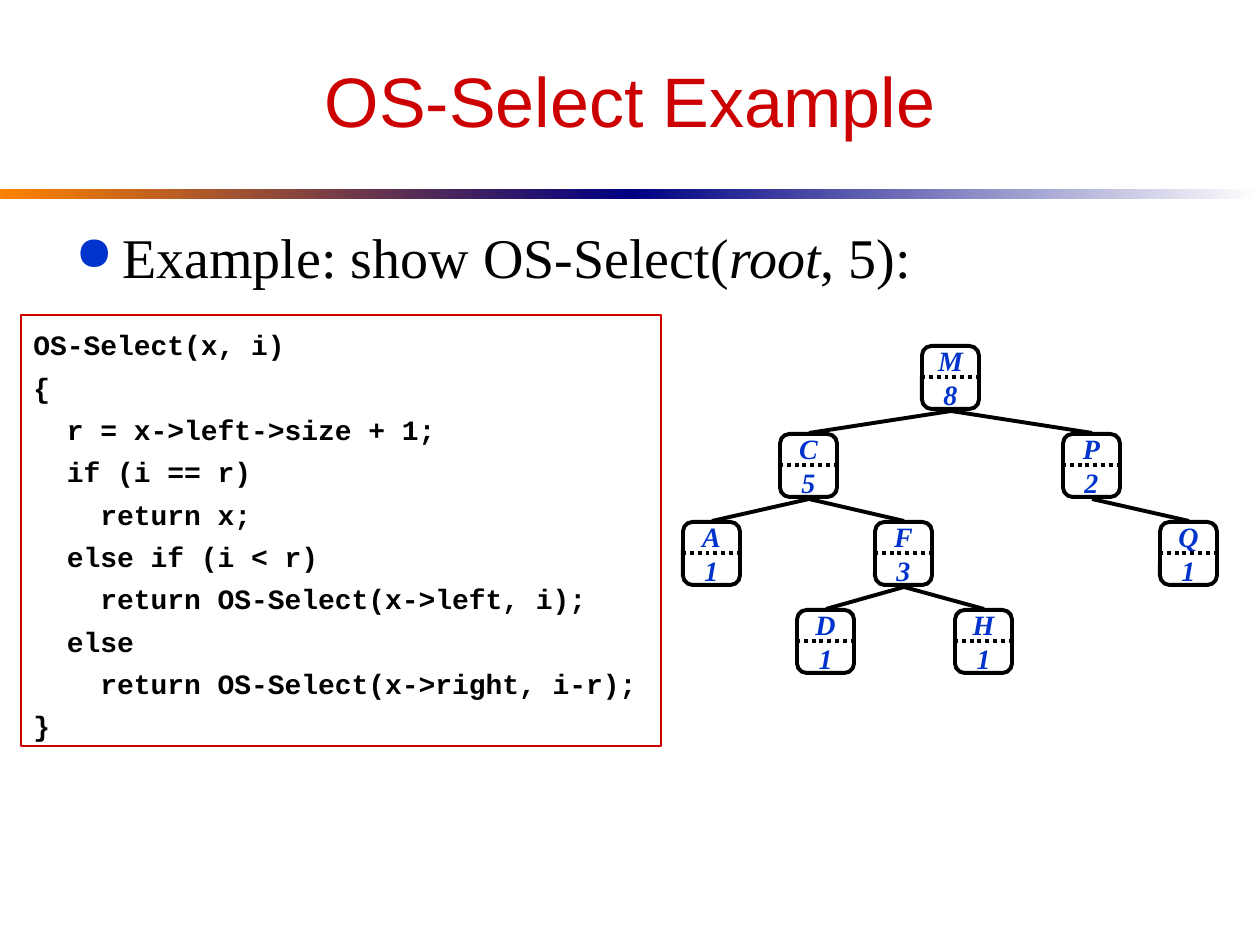
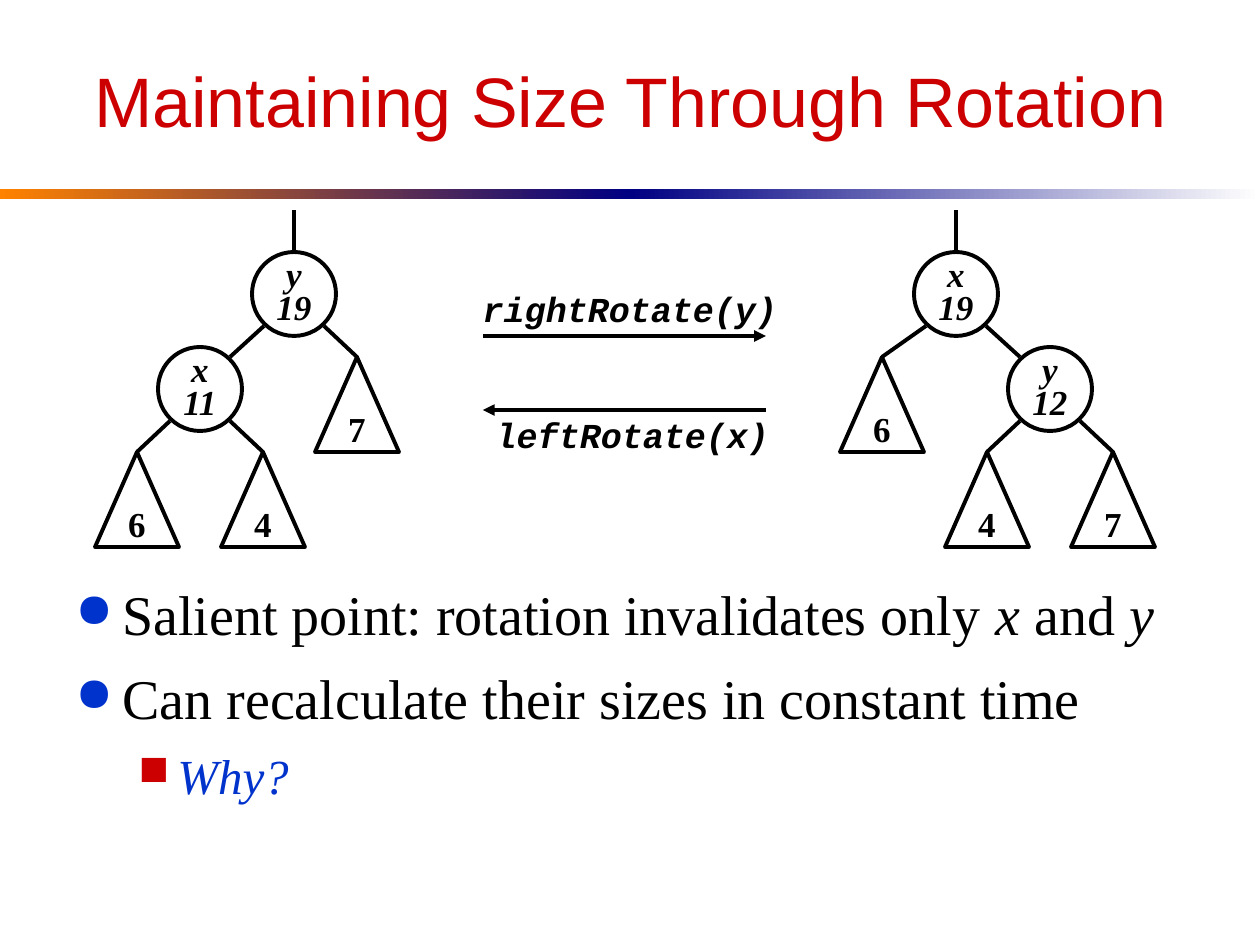
from dataclasses import dataclass
from typing import NamedTuple

from lxml import etree
from pptx import Presentation
from pptx import util as u
from pptx.dml.color import RGBColor
from pptx.enum import dml, shapes, text
from pptx.oxml import ns


class Style(NamedTuple):
    font: str
    size: int
    color: str
    bold: bool = False
    italic: bool = False


@dataclass(frozen=True)
class Theme:
    black: str = "000000"
    white: str = "FFFFFF"
    red: str = "CC0000"
    blue: str = "0033CC"
    navy: str = "000082"
    orange: str = "FF8200"
    stroke: float = 2.25
    thin: float = 0.75
    title: Style = Style("Arial", 40, red)
    point: Style = Style("Times New Roman", 32, black)
    subpoint: Style = Style("Times New Roman", 28, blue, italic=True)
    code: Style = Style("Courier New", 16, black, bold=True)
    call: Style = Style("Courier New", 20, black, bold=True, italic=True)
    key: Style = Style("Times New Roman", 16, blue, bold=True, italic=True)
    node: Style = Style("Times New Roman", 20, black, bold=True, italic=True)
    subtree: Style = Style("Times New Roman", 20, black, bold=True)


T = Theme()
PX = 914400 / 126
KIND = shapes.MSO_SHAPE


def add(s, kind, box, lines, style, line=None, width=T.stroke, fill=None):
    place = [round(v * PX) for v in box]
    if kind is None:
        sp = s.shapes.add_textbox(*place)
    else:
        sp = s.shapes.add_shape(kind, *place)
        sp.shadow.inherit = False
        sp.fill.background()
        if fill:
            sp.fill.solid()
            sp.fill.fore_color.rgb = RGBColor.from_string(fill)
        sp.line.color.rgb = RGBColor.from_string(line)
        sp.line.width = u.Pt(width)
    tf = sp.text_frame
    tf.word_wrap = False
    tf.vertical_anchor = text.MSO_ANCHOR.MIDDLE
    for i, content in enumerate(lines):
        p = tf.paragraphs[0] if i == 0 else tf.add_paragraph()
        p.text = content
        p.alignment = text.PP_ALIGN.CENTER
        for r in p.runs:
            r.font.name, r.font.size = style.font, u.Pt(style.size)
            r.font.bold, r.font.italic = style.bold, style.italic
            r.font.color.rgb = RGBColor.from_string(style.color)
    return sp


def link(s, x1, y1, x2, y2, arrow=False):
    c = s.shapes.add_connector(
        shapes.MSO_CONNECTOR.STRAIGHT, *[round(v * PX) for v in (x1, y1, x2, y2)])
    c.line.color.rgb = RGBColor.from_string(T.black)
    c.line.width = u.Pt(T.stroke)
    sppr = c._element.spPr
    if arrow:
        etree.SubElement(sppr.find(ns.qn("a:ln")), ns.qn("a:tailEnd"), type="triangle")
    etree.SubElement(sppr, ns.qn("a:effectLst"))
    return c


prs = Presentation()
prs.slide_width, prs.slide_height = u.Inches(10), u.Inches(7.5)

levels = [
    (T.point, "●", T.blue, 47, 47),
    (T.subpoint, "■", T.red, 102, 39),
]
pages = [
    ("OS-Select Example", 210, 599, [(0, "Example: show OS-Select(*root*, 5):")]),
    ("Maintaining Size Through Rotation", 567, 242, [
        (0, "Salient point: rotation invalidates only *x* and *y*"),
        (0, "Can recalculate their sizes in constant time"),
        (1, "Why?"),
    ]),
]

for title, top, height, points in pages:
    s = prs.slides.add_slide(prs.slide_layouts[5])
    for x, start, end in [(0, T.orange, T.navy), (630, T.navy, T.white)]:
        sp = s.shapes.add_shape(
            KIND.RECTANGLE, *[round(v * PX) for v in (x, 189, 630, 10)])
        sp.shadow.inherit = False
        sp.line.fill.background()
        sp.fill.gradient()
        sp.fill.gradient_angle = 0
        for stop, color in zip(sp.fill.gradient_stops, (start, end)):
            stop.color.rgb = RGBColor.from_string(color)

    sp = s.shapes.title
    sp.left, sp.top, sp.width, sp.height = [round(v * PX) for v in (63, 32, 1134, 136)]
    tf = sp.text_frame
    tf.text = title
    tf.auto_size = text.MSO_AUTO_SIZE.NONE
    tf.vertical_anchor = text.MSO_ANCHOR.MIDDLE
    p = tf.paragraphs[0]
    p.alignment = text.PP_ALIGN.CENTER
    r = p.runs[0]
    r.font.name, r.font.size = T.title.font, u.Pt(T.title.size)
    r.font.color.rgb = RGBColor.from_string(T.title.color)

    sp = add(s, None, (63, top, 1134, height), [], T.point)
    tf = sp.text_frame
    tf.word_wrap = True
    tf.vertical_anchor = text.MSO_ANCHOR.TOP
    tf.margin_top = round(13 * PX)
    for i, (level, content) in enumerate(points):
        style, mark, color, margin, hang = levels[level]
        p = tf.paragraphs[0] if i == 0 else tf.add_paragraph()
        p.level = level
        if i:
            p.space_before = u.Pt(style.size * 0.3)
        ppr = p._p.get_or_add_pPr()
        ppr.set("marL", str(round(margin * PX)))
        ppr.set("indent", str(round(-hang * PX)))
        clr = etree.SubElement(ppr, ns.qn("a:buClr"))
        etree.SubElement(clr, ns.qn("a:srgbClr"), val=color)
        etree.SubElement(ppr, ns.qn("a:buSzPct"), val="85000")
        etree.SubElement(ppr, ns.qn("a:buChar"), char=mark)
        for n, part in enumerate(content.split("*")):
            if part:
                r = p.add_run()
                r.text = part
                r.font.name, r.font.size = style.font, u.Pt(style.size)
                r.font.italic = style.italic or n % 2 == 1
                r.font.color.rgb = RGBColor.from_string(style.color)

select, rotation = prs.slides

code = """OS-Select(x, i)
{
  r = x->left->size + 1;
  if (i == r)
    return x;
  else if (i < r)
    return OS-Select(x->left, i);
  else
    return OS-Select(x->right, i-r);
}""".split("\n")
sp = add(select, KIND.RECTANGLE, (21, 315, 640, 431), code, T.code, T.red, T.thin)
tf = sp.text_frame
tf.word_wrap = True
tf.vertical_anchor = text.MSO_ANCHOR.TOP
tf.margin_top = round(13 * PX)
for i, p in enumerate(tf.paragraphs):
    p.alignment = text.PP_ALIGN.LEFT
    if i:
        p.space_before = u.Pt(5)

keys = {
    "M": (8, 922, 0), "C": (5, 780, 1), "P": (2, 1063, 1), "Q": (1, 1160, 2),
    "A": (1, 683, 2), "F": (3, 875, 2), "D": (1, 797, 3), "H": (1, 955, 3),
}
for key, (size, x, level) in keys.items():
    y = 346 + 88 * level
    sp = add(select, KIND.ROUNDED_RECTANGLE, (x, y, 57, 63), [f"{key}\n{size}"],
             T.key, T.black)
    divider = link(select, x - 1, y + 31, x + 58, y + 31)
    divider.line.dash_style = dml.MSO_LINE.ROUND_DOT
for parent, child in "MC MP CA CF FD FH PQ".split():
    x1, level = keys[parent][1:]
    x2 = keys[child][1]
    y = 346 + 88 * level
    link(select, x1 + 29, y + 65, x2 + 29, y + 87)

trees = [
    [("y\n19", 294, 0, None), ("x\n11", 200, 1, 0), ("7", 357, 1, 0),
     ("6", 137, 2, 1), ("4", 263, 2, 1)],
    [("x\n19", 956, 0, None), ("6", 882, 1, 0), ("y\n12", 1050, 1, 0),
     ("4", 987, 2, 2), ("7", 1113, 2, 2)],
]
for tree in trees:
    for label, cx, level, parent in tree:
        y = 252 + 95 * level
        inner = "\n" in label
        if inner:
            sp = add(rotation, KIND.OVAL, (cx - 42, y, 84, 84), [label],
                     T.node, T.black, fill=T.white)
            sp.text_frame.paragraphs[0].line_spacing = 0.8
        else:
            add(rotation, KIND.ISOSCELES_TRIANGLE, (cx - 42, y + 10, 84, 95), [label],
                T.subtree, T.black)
        if parent is None:
            link(rotation, cx, y, cx, y - 42)
        else:
            px = tree[parent][1]
            side = 30 if cx > px else -30
            link(rotation, px + side, y - 21, cx - side * inner, y + 10)

for label, box, start, end, y in [
    ("rightRotate(y)", (470, 281, 320, 55), 483, 766, 336),
    ("leftRotate(x)", (483, 407, 299, 55), 766, 483, 410),
]:
    link(rotation, start, y, end, y, arrow=True)
    add(rotation, None, box, [label], T.call)

prs.save("out.pptx")
